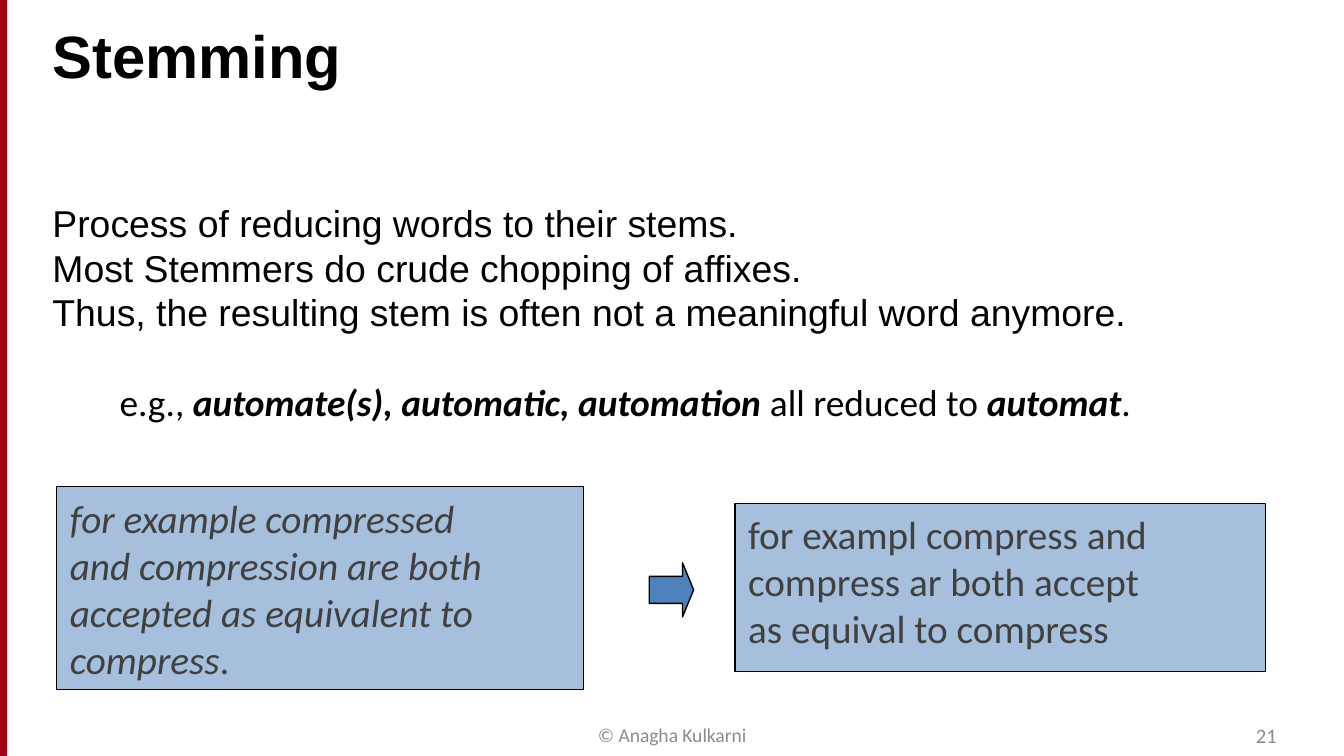
from dataclasses import dataclass

import lxml.etree
import pptx
import pptx.dml.color
import pptx.enum.shapes
import pptx.enum.text
import pptx.oxml.ns
import pptx.util
from pptx.util import Cm

Align = pptx.enum.text.PP_ALIGN
Anchor = pptx.enum.text.MSO_ANCHOR
Shapes = pptx.enum.shapes.MSO_SHAPE
qn = pptx.oxml.ns.qn


@dataclass(frozen=True)
class Theme:
    heading_font: str = "Arial"
    text_font: str = "Calibri"
    black: str = "000000"
    dark_grey: str = "404040"
    light_grey: str = "8C8C8C"
    blue: str = "4F81BD"
    band: str = "A40508"
    band_edge: str = "A4001D"
    title_size: float = 32
    body_size: float = 20
    box_size: float = 21
    footer_size: float = 10.5
    number_size: float = 11
    outline: float = 0.75
    band_width: float = 3.6


@dataclass(frozen=True)
class Area:
    """A rectangle on the slide, in centimetres."""
    left: float
    top: float
    width: float
    height: float

    def lengths(self) -> tuple:
        return Cm(self.left), Cm(self.top), Cm(self.width), Cm(self.height)


@dataclass(frozen=True)
class Run:
    text: str
    bold: bool | None = None
    italic: bool | None = None


@dataclass(frozen=True)
class ExampleBox:
    area: Area
    lines: list[list[Run]]
    anchor: Anchor


@dataclass(frozen=True)
class FooterItem:
    area: Area
    text: str
    size: float
    alignment: Align


THEME = Theme()
SLIDE_WIDTH, SLIDE_HEIGHT = 25.4, 14.29

BODY_LINES = [
    [Run("Process of reducing words to their stems.")],
    [Run("Most Stemmers do crude chopping of affixes.")],
    [Run("Thus, the resulting stem is often not a meaningful word anymore.")],
]
BODY_EXAMPLE = [
    Run("e.g., "),
    Run("automate(s), automatic, automation", bold=True, italic=True),
    Run(" all reduced to "),
    Run("automat", bold=True, italic=True),
    Run("."),
]
EXAMPLE_BOXES = [
    ExampleBox(Area(1.07, 9.2, 9.96, 3.84), [
        [Run("for example compressed", italic=True)],
        [Run("and compression are both", italic=True)],
        [Run("accepted as equivalent to", italic=True)],
        [Run("compress", italic=True), Run(".")],
    ], Anchor.MIDDLE),
    ExampleBox(Area(13.89, 9.52, 10.03, 3.18), [
        [Run("for exampl compress and")],
        [Run("compress ar both accept")],
        [Run("as equival to compress")],
    ], Anchor.TOP),
]
FOOTER_ITEMS = [
    FooterItem(Area(8.64, 13.67, 8.13, 0.46), "© Anagha Kulkarni",
               THEME.footer_size, Align.CENTER),
    FooterItem(Area(18.29, 13.67, 5.84, 0.48), "21",
               THEME.number_size, Align.RIGHT),
]


def rgb(value: str) -> pptx.dml.color.RGBColor:
    return pptx.dml.color.RGBColor.from_string(value)


def place(shape, area: Area) -> None:
    shape.left, shape.top, shape.width, shape.height = area.lengths()


def prepare_frame(frame, anchor: Anchor = Anchor.TOP, margin: float | None = 0) -> None:
    frame.word_wrap = True
    frame.auto_size = pptx.enum.text.MSO_AUTO_SIZE.NONE
    frame.vertical_anchor = anchor
    if margin is not None:
        frame.margin_left = frame.margin_right = Cm(margin)
        frame.margin_top = frame.margin_bottom = Cm(margin)


def write_paragraph(paragraph, runs: list[Run], font: str, size: float, color: str,
                    alignment: Align = Align.LEFT) -> None:
    paragraph.alignment = alignment
    paragraph.font.name = font
    paragraph.font.size = pptx.util.Pt(size)
    paragraph.font.color.rgb = rgb(color)
    for item in runs:
        run = paragraph.add_run()
        run.text = item.text
        run.font.name = font
        run.font.size = pptx.util.Pt(size)
        run.font.color.rgb = rgb(color)
        run.font.bold = item.bold
        run.font.italic = item.italic


def next_paragraph(frame, index: int):
    return frame.add_paragraph() if index else frame.paragraphs[0]


def remove_bullet(paragraph, indent: float = 0) -> None:
    properties = paragraph._p.get_or_add_pPr()
    properties.set("marL", str(Cm(indent)))
    properties.set("indent", "0")
    lxml.etree.SubElement(properties, qn("a:buNone"))


def add_outlined_shape(slide, kind: Shapes, area: Area, fill: str | None,
                       line: str = THEME.black, opacity: int = 100):
    shape = slide.shapes.add_shape(kind, *area.lengths())
    shape.shadow.inherit = False
    shape.line.color.rgb = rgb(line)
    shape.line.width = pptx.util.Pt(THEME.outline)
    if fill is None:
        shape.fill.background()
        return shape
    shape.fill.solid()
    shape.fill.fore_color.rgb = rgb(fill)
    if opacity < 100:
        color = shape._element.spPr.find(qn("a:solidFill")).find(qn("a:srgbClr"))
        lxml.etree.SubElement(color, qn("a:alpha")).set("val", str(opacity * 1000))
    return shape


def add_side_band(slide) -> None:
    band = slide.shapes.add_connector(pptx.enum.shapes.MSO_CONNECTOR.STRAIGHT,
                                      Cm(0.06), Cm(0), Cm(0.06), Cm(SLIDE_HEIGHT))
    band.line.color.rgb = rgb(THEME.band)
    band.line.width = pptx.util.Pt(THEME.band_width)
    lxml.etree.SubElement(band._element.spPr, qn("a:effectLst"))
    add_outlined_shape(slide, Shapes.RECTANGLE, Area(0, 0, 0.12, SLIDE_HEIGHT),
                       None, THEME.band_edge)


def fill_title(title) -> None:
    place(title, Area(0.99, 0.36, 17.91, 2.77))
    prepare_frame(title.text_frame)
    write_paragraph(title.text_frame.paragraphs[0], [Run("Stemming", bold=True)],
                    THEME.heading_font, THEME.title_size, THEME.black)


def fill_body(body) -> None:
    place(body, Area(0.99, 3.78, 23.42, 4.27))
    frame = body.text_frame
    prepare_frame(frame)
    for index, runs in enumerate(BODY_LINES):
        paragraph = next_paragraph(frame, index)
        paragraph.space_before = pptx.util.Pt(0)
        remove_bullet(paragraph)
        write_paragraph(paragraph, runs, THEME.heading_font, THEME.body_size, THEME.black)
    example = frame.add_paragraph()
    example.level = 1
    example.space_before = pptx.util.Pt(24)
    remove_bullet(example, indent=1.27)
    write_paragraph(example, BODY_EXAMPLE, THEME.text_font, THEME.body_size, THEME.black)


def add_example_box(slide, box: ExampleBox) -> None:
    shape = add_outlined_shape(slide, Shapes.RECTANGLE, box.area, THEME.blue, opacity=50)
    prepare_frame(shape.text_frame, box.anchor, margin=None)
    for index, runs in enumerate(box.lines):
        write_paragraph(next_paragraph(shape.text_frame, index), runs,
                        THEME.text_font, THEME.box_size, THEME.dark_grey)


def add_footer_item(slide, item: FooterItem) -> None:
    frame = slide.shapes.add_textbox(*item.area.lengths()).text_frame
    prepare_frame(frame)
    write_paragraph(frame.paragraphs[0], [Run(item.text)], THEME.text_font,
                    item.size, THEME.light_grey, item.alignment)


def main() -> None:
    presentation = pptx.Presentation()
    presentation.slide_width, presentation.slide_height = Cm(SLIDE_WIDTH), Cm(SLIDE_HEIGHT)
    slide = presentation.slides.add_slide(presentation.slide_layouts[1])

    # Band, title and body
    add_side_band(slide)
    fill_title(slide.shapes.title)
    fill_body(slide.placeholders[1])

    # Text before and after stemming
    for box in EXAMPLE_BOXES:
        add_example_box(slide, box)
    arrow = add_outlined_shape(slide, Shapes.RIGHT_ARROW,
                               Area(12.27, 10.64, 0.84, 1.02), THEME.blue)
    arrow.adjustments[1] = 0.25

    # Footer
    for item in FOOTER_ITEMS:
        add_footer_item(slide, item)

    presentation.save("out.pptx")


if __name__ == "__main__":
    main()
